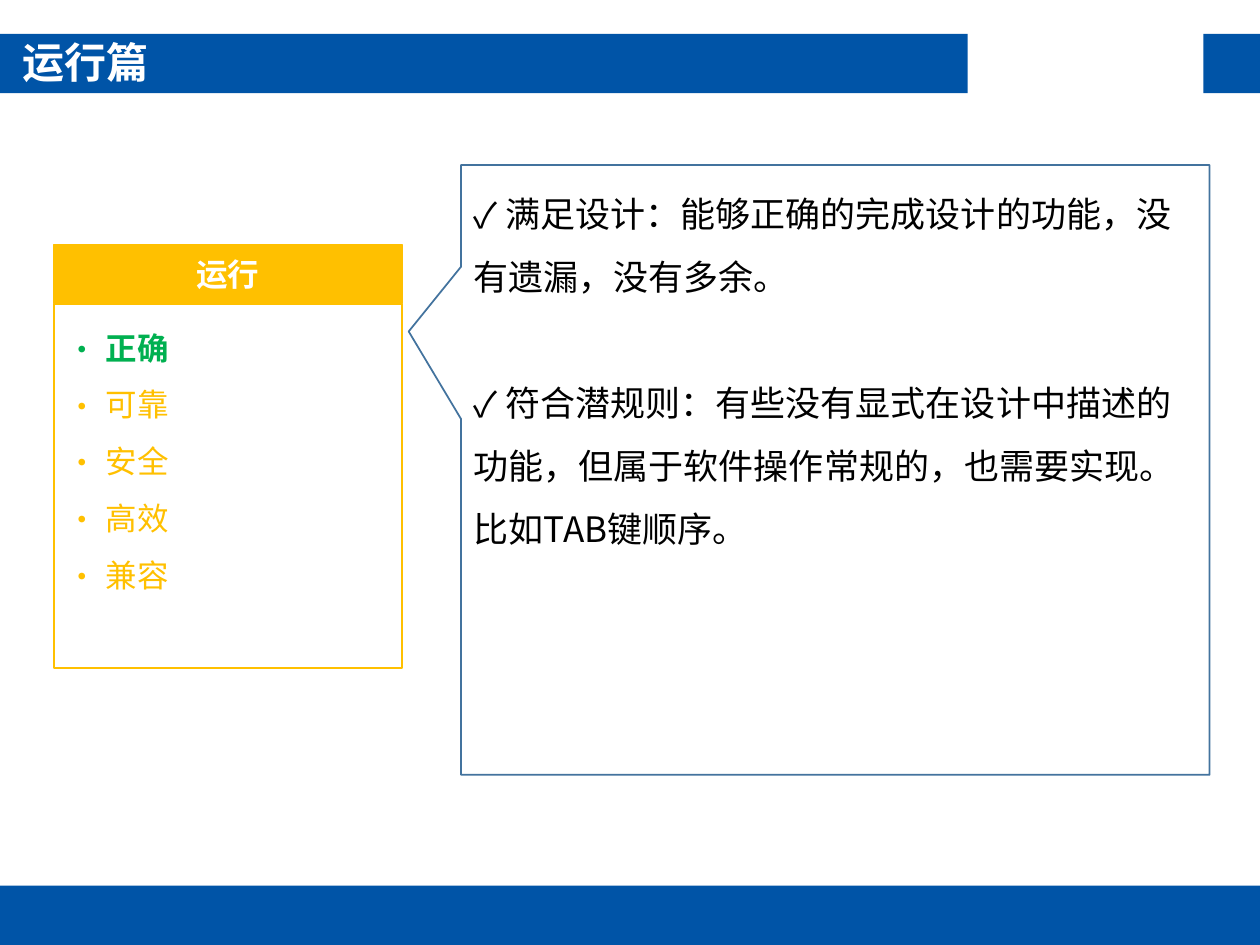
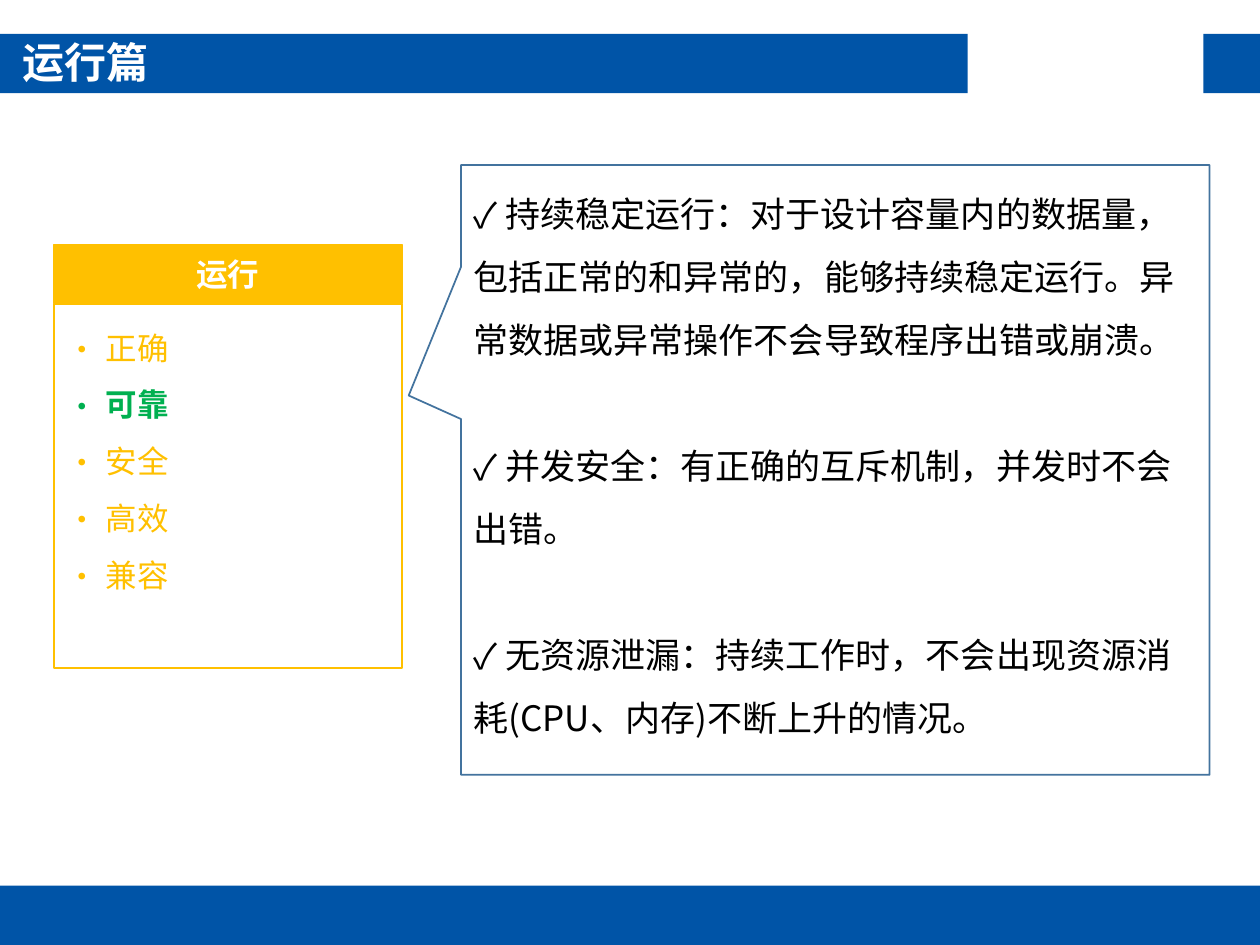
from lxml import etree
from pptx import Presentation
from pptx.dml.color import RGBColor
from pptx.enum import shapes, text
from pptx.oxml.ns import qn
from pptx.util import Inches, Pt

FONT = "Noto Sans CJK SC"
COLORS = {
    "band": "0054A7",
    "outline": "43739E",
    "accent": "FFC000",
    "active": "00B050",
    "white": "FFFFFF",
    "black": "000000",
}
TOPICS = ["正确", "可靠", "安全", "高效", "兼容"]
DETAILS = {
    "正确": [
        "满足设计：能够正确的完成设计的功能，没有遗漏，没有多余。",
        "符合潜规则：有些没有显式在设计中描述的功能，但属于软件操作常规的，"
        "也需要实现。比如TAB键顺序。",
    ],
    "可靠": [
        "持续稳定运行：对于设计容量内的数据量，包括正常的和异常的，"
        "能够持续稳定运行。异常数据或异常操作不会导致程序出错或崩溃。",
        "并发安全：有正确的互斥机制，并发时不会出错。",
        "无资源泄漏：持续工作时，不会出现资源消耗(CPU、内存)不断上升的情况。",
    ],
}


def color(name):
    return RGBColor.from_string(COLORS[name])


def add_box(slide, box, fill=None, line=None, kind=shapes.MSO_SHAPE.RECTANGLE):
    """Add a flat shape whose text starts at its top left."""
    shape = slide.shapes.add_shape(kind, *map(Inches, box))
    shape.shadow.inherit = False
    if fill:
        shape.fill.solid()
        shape.fill.fore_color.rgb = color(fill)
    else:
        shape.fill.background()
    if line:
        shape.line.color.rgb = color(line)
        shape.line.width = Pt(1)
    else:
        shape.line.fill.background()
    shape.text_frame.word_wrap = True
    shape.text_frame.vertical_anchor = text.MSO_ANCHOR.TOP
    return shape


def add_run(paragraph, words, size, ink, bold=False):
    run = paragraph.add_run()
    run.text = words
    run.font.size = Pt(size)
    run.font.bold = bold
    run.font.name = FONT
    run.font.color.rgb = color(ink)
    east_asian = etree.SubElement(run.font._element, qn("a:ea"))
    east_asian.set("typeface", FONT)


def next_paragraph(frame, index):
    return frame.add_paragraph() if index else frame.paragraphs[0]


def set_bullet(paragraph, mark, hanging=0):
    """Style a list line; spacing must be set before the bullet."""
    paragraph.alignment = text.PP_ALIGN.LEFT
    paragraph.line_spacing = 1.5
    props = paragraph._p.get_or_add_pPr()
    props.set("marL", str(Inches(hanging)))
    props.set("indent", str(-Inches(hanging)))
    etree.SubElement(props, qn("a:buFont")).set("typeface", FONT)
    etree.SubElement(props, qn("a:buChar")).set("char", mark)


def add_frame(slide, title):
    # Top and bottom bands
    for band in [(-0.01, 0.27, 7.69, 0.47), (9.55, 0.27, 0.45, 0.47),
                 (-0.01, 7.03, 10.01, 0.47)]:
        add_box(slide, band, fill="band")
    # Title on the top band
    heading = slide.shapes.add_textbox(*map(Inches, (0.08, 0.24, 7.6, 0.5)))
    heading.text_frame.word_wrap = True
    paragraph = heading.text_frame.paragraphs[0]
    paragraph.alignment = text.PP_ALIGN.JUSTIFY
    paragraph.space_before = Pt(9)
    add_run(paragraph, title, 24, "white", bold=True)


def add_callout(slide, box, active):
    callout = add_box(slide, box, "white", "outline",
                      shapes.MSO_SHAPE.RECTANGULAR_CALLOUT)
    # The tip moves down one step per topic
    callout.adjustments[0] = -0.57
    callout.adjustments[1] = -0.227 + 0.105 * TOPICS.index(active)
    for index, detail in enumerate(DETAILS[active]):
        paragraph = next_paragraph(callout.text_frame, index)
        paragraph.space_before = Pt(36 if index else 0)
        set_bullet(paragraph, "✓")
        add_run(paragraph, " " + detail, 20, "black")


def add_topic_card(slide, box, title, active):
    left, top, width, height = box
    header_height = 0.47
    # Card header
    header = add_box(slide, (left, top, width, header_height), "accent", "accent")
    header.text_frame.vertical_anchor = text.MSO_ANCHOR.MIDDLE
    paragraph = header.text_frame.paragraphs[0]
    paragraph.alignment = text.PP_ALIGN.CENTER
    add_run(paragraph, title, 18, "white", bold=True)
    # Topic list with the active one marked
    topic_list = add_box(slide, (left, top + header_height, width,
                                 height - header_height), line="accent")
    for index, topic in enumerate(TOPICS):
        paragraph = next_paragraph(topic_list.text_frame, index)
        set_bullet(paragraph, "•", hanging=0.31)
        is_active = topic == active
        add_run(paragraph, topic, 18, "active" if is_active else "accent", is_active)


def add_topic_slide(deck, active):
    slide = deck.slides.add_slide(deck.slide_layouts[6])
    add_frame(slide, "运行篇")
    add_callout(slide, (3.66, 1.31, 5.94, 4.84), active)
    add_topic_card(slide, (0.43, 1.94, 2.76, 3.36), "运行", active)


def main():
    deck = Presentation()
    deck.slide_width, deck.slide_height = Inches(10), Inches(7.5)
    for active in DETAILS:
        add_topic_slide(deck, active)
    deck.save("out.pptx")


if __name__ == "__main__":
    main()
